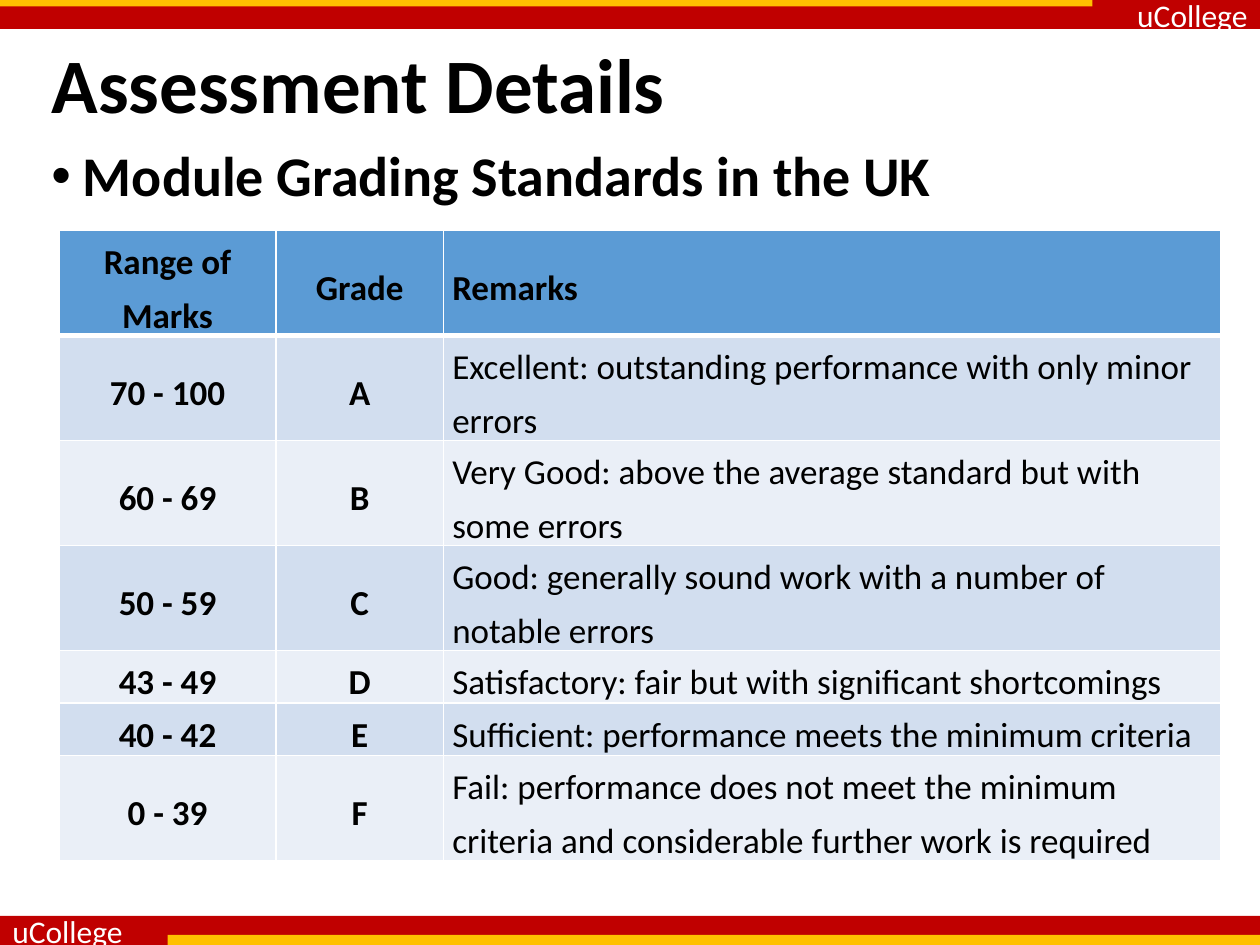
from dataclasses import dataclass

from lxml.etree import SubElement
from pptx import Presentation
from pptx.dml.color import RGBColor
from pptx.enum.shapes import MSO_SHAPE
from pptx.enum.text import MSO_ANCHOR, PP_ALIGN
from pptx.oxml.ns import qn
from pptx.util import Inches, Pt


@dataclass(frozen=True)
class Theme:
    font: str = "Calibri"
    red: str = "C00000"
    gold: str = "FFC000"
    white: str = "FFFFFF"
    black: str = "000000"
    header: str = "5B9BD5"
    bands: tuple = ("D2DEEF", "EAEFF7")
    title_size: int = 44
    heading_size: int = 32
    table_size: int = 20
    brand_size: int = 18


THEME = Theme()
BRAND = "uCollege"
HEADINGS = ("Range of Marks", "Grade", "Remarks")
GRADES = (
    ("70 - 100", "A", "Excellent: outstanding performance with only minor errors"),
    ("60 - 69", "B", "Very Good: above the average standard but with some errors"),
    ("50 - 59", "C", "Good: generally sound work with a number of notable errors"),
    ("43 - 49", "D", "Satisfactory: fair but with significant shortcomings"),
    ("40 - 42", "E", "Sufficient: performance meets the minimum criteria"),
    ("0 - 39", "F", "Fail: performance does not meet the minimum criteria "
                    "and considerable further work is required"),
)
COLUMN_SHARES = (1.72, 1.33, 6.17)
ROW_HEIGHT = Inches(0.41)


def style(paragraph, size, color=THEME.black, bold=False,
          align=PP_ALIGN.LEFT, spacing=None):
    paragraph.alignment = align
    paragraph.line_spacing = spacing
    font = paragraph.font
    font.name, font.size, font.bold = THEME.font, Pt(size), bold
    font.color.rgb = RGBColor.from_string(color)


def add_bar(slide, box, color):
    bar = slide.shapes.add_shape(MSO_SHAPE.RECTANGLE, *box)
    bar.shadow.inherit = False
    bar.fill.solid()
    bar.fill.fore_color.rgb = RGBColor.from_string(color)
    bar.line.fill.background()
    return bar


def add_brand_band(slide, box, stripe_box, align):
    band = add_bar(slide, box, THEME.red)
    frame = band.text_frame
    frame.word_wrap = False
    frame.vertical_anchor = MSO_ANCHOR.MIDDLE
    frame.text = BRAND
    style(frame.paragraphs[0], THEME.brand_size, THEME.white, align=align)
    add_bar(slide, stripe_box, THEME.gold)


def place_title(slide, box):
    title = slide.shapes.title
    title.left, title.top, title.width, title.height = box
    frame = title.text_frame
    frame.vertical_anchor = MSO_ANCHOR.MIDDLE
    frame.text = "Assessment Details"
    style(frame.paragraphs[0], THEME.title_size, bold=True, spacing=0.9)


def add_heading(slide, box):
    frame = slide.shapes.add_textbox(*box).text_frame
    frame.word_wrap = True
    frame.text = "Module Grading Standards in the UK"
    heading = frame.paragraphs[0]
    properties = heading._p.get_or_add_pPr()
    properties.set("marL", str(Inches(0.25)))
    properties.set("indent", str(Inches(-0.25)))
    SubElement(properties, qn("a:buFont"), typeface="Arial")
    SubElement(properties, qn("a:buChar"), char="•")
    style(heading, THEME.heading_size, bold=True, spacing=0.9)


def set_borders(cell, bottom_width):
    properties = cell._tc.get_or_add_tcPr()
    for side, width in (("L", 1), ("R", 1), ("T", 1), ("B", bottom_width)):
        line = SubElement(properties, qn(f"a:ln{side}"), w=str(Pt(width)))
        fill = SubElement(line, qn("a:solidFill"))
        SubElement(fill, qn("a:srgbClr"), val=THEME.white)


def fill_cell(cell, text, color, bold, align, bottom_width):
    set_borders(cell, bottom_width)
    cell.fill.solid()
    cell.fill.fore_color.rgb = RGBColor.from_string(color)
    cell.margin_left = cell.margin_right = Inches(0.07)
    cell.margin_top = cell.margin_bottom = 0
    cell.vertical_anchor = MSO_ANCHOR.MIDDLE
    cell.text = text
    style(cell.text_frame.paragraphs[0], THEME.table_size,
          bold=bold, align=align, spacing=1.25)


def add_grades_table(slide, box):
    rows = (HEADINGS, *GRADES)
    table_frame = slide.shapes.add_table(len(rows), len(HEADINGS), *box)
    table = table_frame.table
    width = box[2]
    for column, share in zip(table.columns, COLUMN_SHARES):
        column.width = int(width * share / sum(COLUMN_SHARES))
    for r, row in enumerate(rows):
        table.rows[r].height = ROW_HEIGHT
        is_header = r == 0
        color = THEME.header if is_header else THEME.bands[(r - 1) % 2]
        for c, text in enumerate(row):
            is_remark = c == len(HEADINGS) - 1
            align = PP_ALIGN.LEFT if is_remark else PP_ALIGN.CENTER
            fill_cell(table.cell(r, c), text, color,
                      is_header or not is_remark, align, 3 if is_header else 1)
    table_frame.height = box[3]


def inches(*lengths):
    return tuple(Inches(length) for length in lengths)


def main():
    deck = Presentation()
    deck.slide_width, deck.slide_height = inches(10, 7.5)
    slide = deck.slides.add_slide(deck.slide_layouts[5])
    add_brand_band(slide, inches(0, 0, 10, 0.23),
                   inches(0, 0, 8.67, 0.05), PP_ALIGN.RIGHT)
    add_brand_band(slide, inches(0, 7.27, 10, 0.23),
                   inches(1.33, 7.42, 8.67, 0.08), PP_ALIGN.LEFT)
    place_title(slide, inches(0.31, 0.29, 9.69, 0.83))
    add_heading(slide, inches(0.31, 1.13, 9.69, 6.17))
    add_grades_table(slide, inches(0.47, 1.83, 9.22, 4.82))
    deck.save("out.pptx")


if __name__ == "__main__":
    main()
